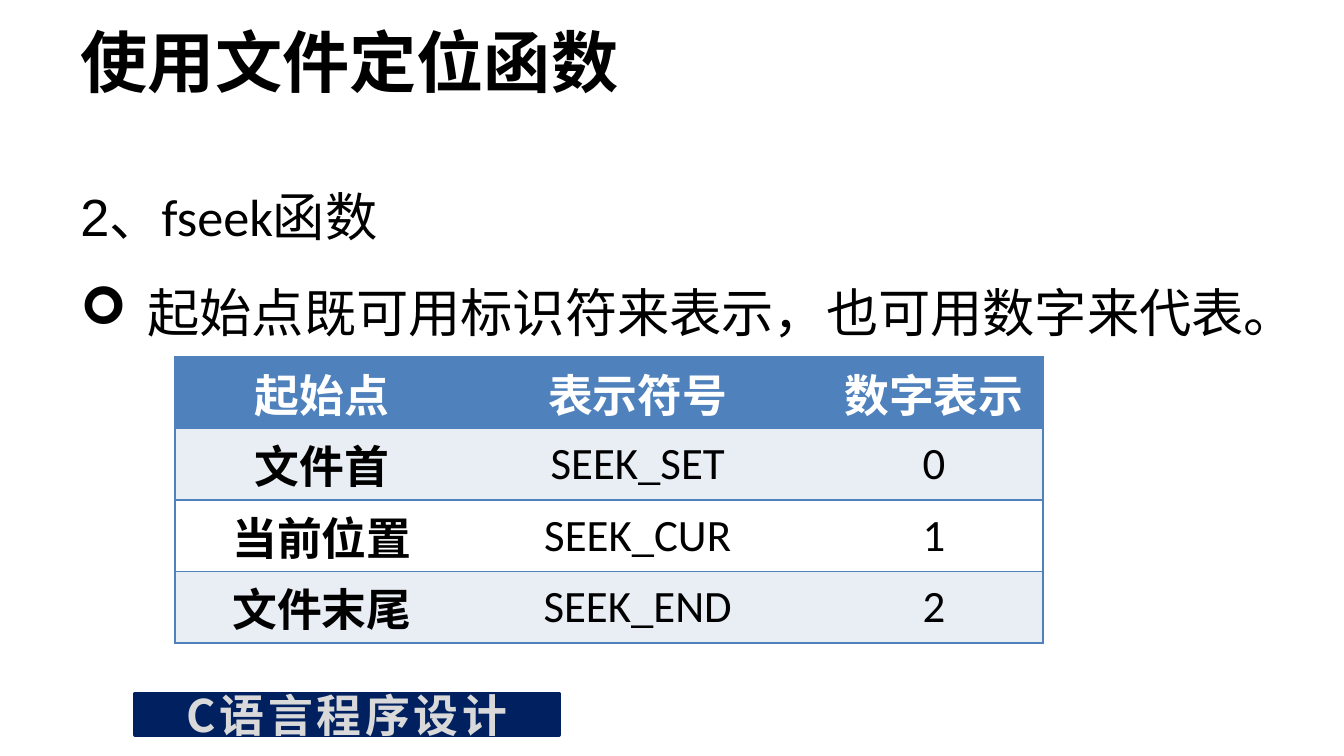
from lxml import etree
from pptx import Presentation
from pptx.dml.color import RGBColor
from pptx.enum.shapes import MSO_SHAPE
from pptx.enum.text import MSO_ANCHOR, MSO_AUTO_SIZE, PP_ALIGN
from pptx.oxml.ns import qn
from pptx.util import Pt

RECTANGLE = MSO_SHAPE.RECTANGLE
MIDDLE, TOP = MSO_ANCHOR.MIDDLE, MSO_ANCHOR.TOP
LEFT, CENTER = PP_ALIGN.LEFT, PP_ALIGN.CENTER
NO_FIT = MSO_AUTO_SIZE.NONE

LATIN, CJK = "Calibri", "Noto Sans CJK SC"
BLACK, WHITE, NAVY, GREY = "000000", "FFFFFF", "002060", "D9D9D9"
BLUE, PALE = "4F81BD", "E9EDF4"

COLUMN_WIDTHS = [147.6, 190.8, 126.7]
ROW_HEIGHT = 38.3
ORIGINS = [
    ("起始点", "表示符号", "数字表示"),
    ("文件首", "SEEK_SET", "0"),
    ("当前位置", "SEEK_CUR", "1"),
    ("文件末尾", "SEEK_END", "2"),
]


def color(hex_code):
    return RGBColor.from_string(hex_code)


def points(*lengths):
    return [Pt(length) for length in lengths]


def add_run(paragraph, text, size, hex_code=BLACK, bold=False, font=LATIN):
    run = paragraph.add_run()
    run.text = text
    run.font.size = Pt(size)
    run.font.bold = bold
    run.font.name = font
    run.font.color.rgb = color(hex_code)
    properties = run.font._element
    etree.SubElement(properties, qn("a:ea"), typeface=CJK)
    return properties


def set_frame(frame, anchor):
    frame.word_wrap = True
    frame.auto_size = NO_FIT
    frame.vertical_anchor = anchor


def add_title(slide, text):
    title = slide.shapes.title
    title.left, title.top, title.width, title.height = points(36, 10, 648, 45.5)
    set_frame(title.text_frame, MIDDLE)
    heading = title.text_frame.paragraphs[0]
    heading.alignment = LEFT
    add_run(heading, text, 36, bold=True)


def add_course_bar(slide, text):
    bar = slide.shapes.add_shape(RECTANGLE, *points(72.5, 371.5, 226.8, 22.3))
    bar.shadow.inherit = False
    bar.fill.solid()
    bar.fill.fore_color.rgb = color(NAVY)
    bar.line.color.rgb = color(NAVY)
    bar.line.width = Pt(2)
    set_frame(bar.text_frame, MIDDLE)
    label = bar.text_frame.paragraphs[0]
    label.alignment = CENTER
    properties = add_run(label, text, 24, GREY, bold=True, font=CJK)
    properties.set("spc", "200")


def set_bullet(paragraph, symbol, indent):
    properties = paragraph._p.get_or_add_pPr()
    properties.set("marL", str(Pt(indent)))
    properties.set("indent", str(-Pt(indent)))
    etree.SubElement(properties, qn("a:buFont"), typeface="Wingdings")
    etree.SubElement(properties, qn("a:buChar"), char=symbol)


def add_body(slide):
    body = slide.shapes.add_textbox(*points(36, 95, 675.4, 113))
    set_frame(body.text_frame, TOP)
    function = body.text_frame.paragraphs[0]
    function.space_after = Pt(6)
    add_run(function, "2、", 28, font="Arial")
    add_run(function, "fseek函数", 28)

    explanation = body.text_frame.add_paragraph()
    set_bullet(explanation, "➢", 36)
    explanation.space_before = Pt(12)
    explanation.space_after = Pt(6)
    add_run(explanation, "起始点既可用标识符来表示，也可用数字来代表。", 28)


def set_borders(cell, visible):
    properties = cell._tc.get_or_add_tcPr()
    for side in "LRTB":
        border = etree.SubElement(properties, qn(f"a:ln{side}"), w=str(Pt(1)))
        if side in visible:
            fill = etree.SubElement(border, qn("a:solidFill"))
            etree.SubElement(fill, qn("a:srgbClr"), val=BLUE)
        else:
            etree.SubElement(border, qn("a:noFill"))


def fill_cell(cell, text, row, column):
    # Outer frame and row rules, without rules between columns
    set_borders(cell, "TB" + {0: "L", len(COLUMN_WIDTHS) - 1: "R"}.get(column, ""))
    cell.fill.solid()
    cell.fill.fore_color.rgb = color(BLUE if row == 0 else PALE if row % 2 else WHITE)
    cell.margin_left = cell.margin_right = Pt(5)
    cell.margin_top = cell.margin_bottom = 0
    cell.vertical_anchor = MIDDLE
    paragraph = cell.text_frame.paragraphs[0]
    paragraph.alignment = CENTER
    paragraph._p.get_or_add_pPr().set("indent", str(Pt(10)))
    is_header = row == 0
    add_run(paragraph, text, 24, WHITE if is_header else BLACK,
            bold=is_header or column == 0)


def add_origin_table(slide):
    frame = slide.shapes.add_table(
        len(ORIGINS), len(COLUMN_WIDTHS),
        *points(93.6, 191.3, sum(COLUMN_WIDTHS), ROW_HEIGHT * len(ORIGINS)))
    table = frame.table
    for column, width in zip(table.columns, COLUMN_WIDTHS):
        column.width = Pt(width)
    for r, texts in enumerate(ORIGINS):
        table.rows[r].height = Pt(ROW_HEIGHT)
        for c, text in enumerate(texts):
            fill_cell(table.cell(r, c), text, r, c)


def main():
    deck = Presentation()
    deck.slide_width, deck.slide_height = points(720, 405)
    slide = deck.slides.add_slide(deck.slide_layouts[5])
    slide.background.fill.solid()
    slide.background.fill.fore_color.rgb = color(WHITE)

    add_course_bar(slide, "C语言程序设计")
    add_title(slide, "使用文件定位函数")
    add_body(slide)
    add_origin_table(slide)
    deck.save("out.pptx")


if __name__ == "__main__":
    main()
